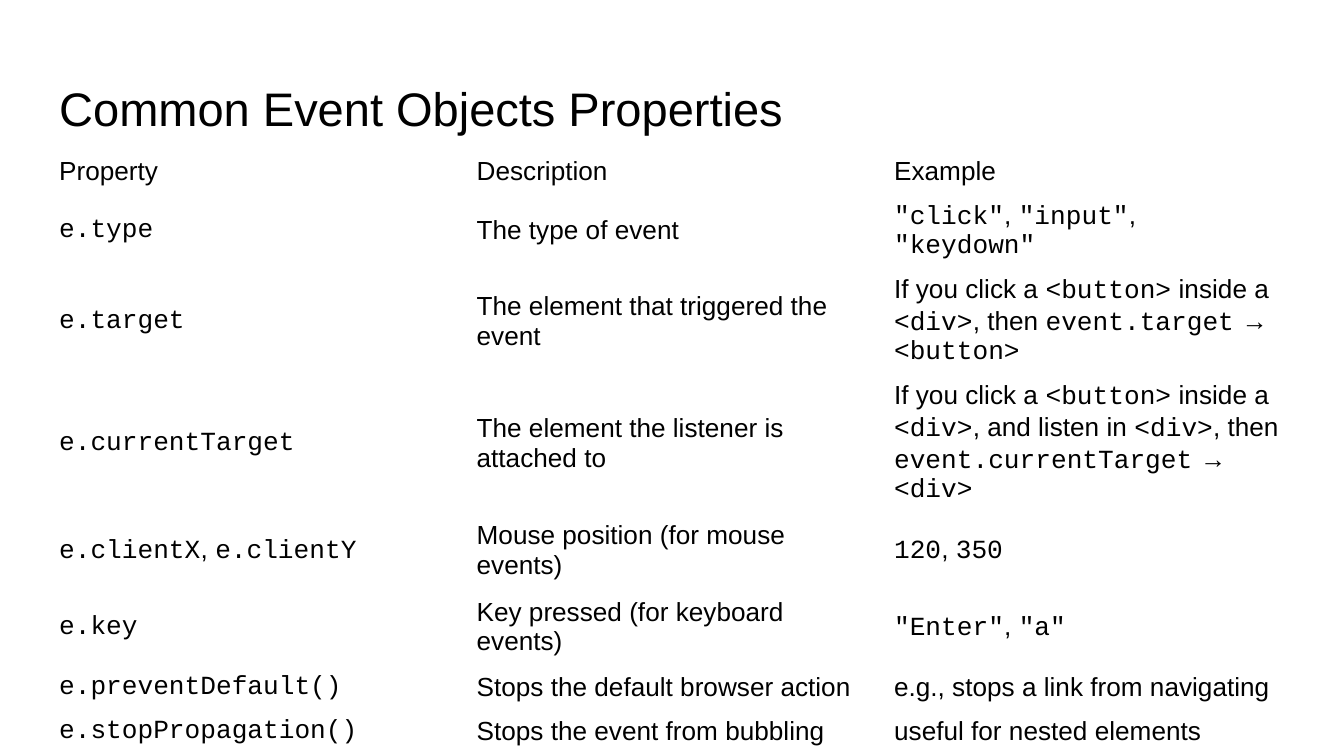
from pptx import Presentation
from pptx.dml.color import RGBColor
from pptx.enum.text import MSO_ANCHOR as Anchor, MSO_AUTO_SIZE as AutoSize, PP_ALIGN as Align
from pptx.util import Inches, Pt

BODY_FONT, CODE_FONT = "Arial", "Courier New"
BLACK = "000000"
LEFT, WIDTH = 0.34, 9.32

ROW_HEIGHTS = [0.33, 0.33, 0.57, 0.57, 0.57, 0.57, 0.33, 0.33]
# Backticks mark code
PROPERTIES = [
    ("Property", "Description", "Example"),
    ("`e.type`", "The type of event", '`"click"`, `"input"`, `"keydown"`'),
    ("`e.target`", "The element that triggered the event",
     "If you click a `<button>` inside a `<div>`, then `event.target` → `<button>`"),
    ("`e.currentTarget`", "The element the listener is attached to",
     "If you click a `<button>` inside a `<div>`, and listen in `<div>`, "
     "then `event.currentTarget` → `<div>`"),
    ("`e.clientX`, `e.clientY`", "Mouse position (for mouse events)", "`120`, `350`"),
    ("`e.key`", "Key pressed (for keyboard events)", '`"Enter"`, `"a"`'),
    ("`e.preventDefault()`", "Stops the default browser action",
     "e.g., stops a link from navigating"),
    ("`e.stopPropagation()`", "Stops the event from bubbling",
     "useful for nested elements"),
]


def color(hex_value):
    return RGBColor.from_string(hex_value)


def format_run(run, size, font=BODY_FONT):
    run.font.name = font
    run.font.size = Pt(size)
    run.font.bold = False
    run.font.color.rgb = color(BLACK)


def set_title(slide, text):
    title = slide.shapes.title
    title.left, title.top = Inches(LEFT), Inches(0.49)
    title.width, title.height = Inches(WIDTH), Inches(0.63)
    frame = title.text_frame
    frame.text = text
    frame.word_wrap = True
    frame.auto_size = AutoSize.NONE
    frame.vertical_anchor = Anchor.TOP
    frame.margin_left = frame.margin_right = Inches(0.1)
    frame.margin_top = frame.margin_bottom = Inches(0.1)
    heading = frame.paragraphs[0]
    heading.alignment = Align.LEFT
    format_run(heading.runs[0], 25.2)


def fill_cell(cell, marked_text):
    cell.fill.background()
    cell.vertical_anchor = Anchor.MIDDLE
    paragraph = cell.text_frame.paragraphs[0]
    # Every second piece lies between backticks
    for index, piece in enumerate(marked_text.split("`")):
        if piece:
            run = paragraph.add_run()
            run.text = piece
            format_run(run, 14, CODE_FONT if index % 2 else BODY_FONT)


def add_property_table(slide):
    table = slide.shapes.add_table(
        len(PROPERTIES), len(PROPERTIES[0]), Inches(LEFT), Inches(1.11),
        Inches(WIDTH), Inches(sum(ROW_HEIGHTS))).table
    table.first_row = table.horz_banding = False
    for row, height, texts in zip(table.rows, ROW_HEIGHTS, PROPERTIES):
        row.height = Inches(height)
        for cell, text in zip(row.cells, texts):
            fill_cell(cell, text)


def main():
    deck = Presentation()
    # Widescreen, 16:9
    deck.slide_width, deck.slide_height = Inches(10), Inches(10 * 9 / 16)
    slide = deck.slides.add_slide(deck.slide_layouts[5])  # Title Only
    set_title(slide, "Common Event Objects Properties")
    add_property_table(slide)
    deck.save("out.pptx")


if __name__ == "__main__":
    main()
